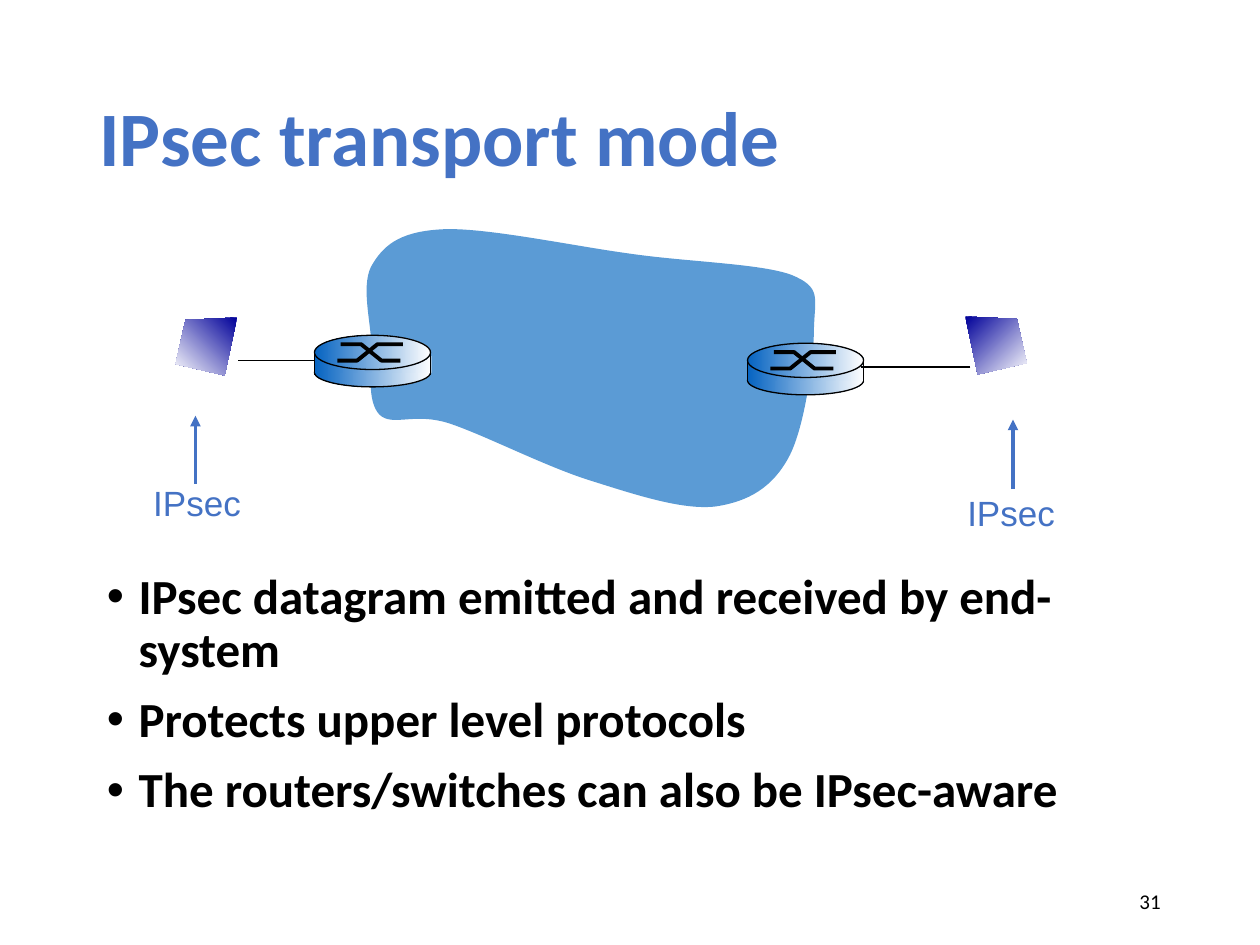
from dataclasses import dataclass
from lxml import etree
from pptx import Presentation
from pptx import util as u
from pptx.dml import color
from pptx.enum import shapes, text
from pptx.oxml import ns


@dataclass
class Theme:
    blue: str = "4472C4"
    cloud: str = "5B9BD5"
    ink: str = "000000"
    navy: str = "000099"
    steel: str = "0563C1"
    white: str = "FFFFFF"
    title: int = 44
    body: int = 28
    label: int = 20
    number: int = 12


theme = Theme()
rgb = color.RGBColor.from_string
Kind, Wire = shapes.MSO_SHAPE, shapes.MSO_CONNECTOR


def trace(tree, points, close):
    """Build a freeform through points given in centimetres."""
    spots = [(u.Cm(x), u.Cm(y)) for x, y in points]
    pen = tree.build_freeform(*spots[0])
    pen.add_line_segments(spots[1:], close=close)
    return pen.convert_to_shape()


def paint(shape, fill=None, line=None, width=0.75, angle=0):
    """Set fill (plain or fading to white) and line, without shadow."""
    if hasattr(shape, "fill"):
        if isinstance(fill, tuple):
            shape.fill.gradient()
            shape.fill.gradient_angle = angle
            for stop, shade in zip(shape.fill.gradient_stops, fill):
                stop.color.rgb = rgb(shade)
        elif fill:
            shape.fill.solid()
            shape.fill.fore_color.rgb = rgb(fill)
        else:
            shape.fill.background()
    if line:
        shape.line.color.rgb = rgb(line)
        shape.line.width = u.Pt(width)
    else:
        shape.line.fill.background()
    etree.SubElement(shape.element.spPr, ns.qn("a:effectLst"))


deck = Presentation()
deck.slide_width, deck.slide_height = u.Cm(25.4), u.Cm(19.05)
slide = deck.slides.add_slide(deck.slide_layouts[1])
tree = slide.shapes

# Cloud: start point, then two handles and an end point per curve
edge = [
    (8.99, 4.62),
    (8.13, 4.65), (7.77, 4.9), (7.52, 5.31),
    (7.26, 5.69), (7.47, 6.45), (7.49, 6.96),
    (7.49, 7.47), (7.39, 8.08), (7.65, 8.36),
    (7.92, 8.61), (8.33, 8.31), (9.04, 8.53),
    (9.75, 8.76), (11.02, 9.42), (11.94, 9.7),
    (12.83, 9.98), (13.77, 10.29), (14.43, 10.21),
    (15.09, 10.11), (15.57, 9.83), (15.9, 9.22),
    (16.23, 8.61), (16.41, 7.21), (16.41, 6.6),
    (16.43, 5.99), (16.56, 5.79), (15.95, 5.54),
    (15.32, 5.31), (13.82, 5.28), (12.67, 5.11),
    (11.51, 4.95), (9.86, 4.6), (8.99, 4.62),
]
cloud = trace(tree, edge, True)
paint(cloud, theme.cloud)

# Join each three straight steps into one curve
steps = list(cloud.element.iter(ns.qn("a:lnTo")))
for one, two, end in zip(steps[::3], steps[1::3], steps[2::3]):
    one.tag = ns.qn("a:cubicBezTo")
    for step in (two, end):
        one.append(step[0])
        step.getparent().remove(step)

# Arrows up to the end systems
for x, low, top in [(3.94, 9.75, 8.38), (20.42, 9.86, 8.46)]:
    arrow = tree.add_connector(Wire.STRAIGHT, u.Cm(x), u.Cm(low),
                               u.Cm(x), u.Cm(top))
    paint(arrow, line=theme.blue, width=2)
    etree.SubElement(arrow.element.spPr.find(ns.qn("a:ln")),
                     ns.qn("a:tailEnd"), type="triangle")

# End systems: mirrored screens, each with a link to its router
far, west, east = [tree.add_group_shape().shapes for _ in range(3)]
screen = [(0, 0), (1.04, 0.05), (1.24, 0.94), (0.25, 1.17), (0, 0)]
for host, net, x, y, side, angle, begin, end, level in [
        (far, tree, 19.46, 6.38, 1, 315, 19.56, 17.35, 7.4),
        (west, west, 4.78, 6.4, -1, 225, 4.8, 6.48, 7.27)]:
    points = [(x + side * dx, y + dy) for dx, dy in screen]
    paint(trace(host, points, True), (theme.navy, theme.white), angle=angle)
    link = net.add_connector(Wire.STRAIGHT, u.Cm(begin), u.Cm(level),
                             u.Cm(end), u.Cm(level))
    paint(link, line=theme.ink)

# Routers: a drum of three parts, two sides and a crossed mark
drum = [
    (Kind.OVAL, 0.46, 2.34, 0.58, theme.ink),
    (Kind.RECTANGLE, 0.41, 2.36, 0.36, None),
    (Kind.OVAL, 0, 2.34, 0.69, theme.ink),
]
marks = [
    [(0.46, 0.51), (0.86, 0.51), (1.27, 0.18), (1.78, 0.18)],
    [(0.53, 0.18), (0.94, 0.18), (1.35, 0.51), (1.73, 0.51)],
]
for group, x, y in [(west, 6.34, 6.76), (east, 15.07, 6.92)]:
    for kind, dy, wide, high, line in drum:
        part = group.add_shape(kind, u.Cm(x), u.Cm(y + dy),
                               u.Cm(wide), u.Cm(high))
        paint(part, (theme.steel, theme.white), line)
    for mark in marks:
        points = [(x + dx, y + dy) for dx, dy in mark]
        paint(trace(group, points, False), line=theme.ink, width=2.25)
    for dx in (0, 2.34):
        wall = group.add_connector(Wire.STRAIGHT, u.Cm(x + dx), u.Cm(y + 0.33),
                                   u.Cm(x + dx), u.Cm(y + 0.79))
        paint(wall, line=theme.ink)

# Text: title, list, labels and page number
Align, Anchor = text.PP_ALIGN, text.MSO_ANCHOR
head = {"name": "Calibri", "size": u.Pt(theme.title), "bold": True,
        "color": theme.blue}
items = {**head, "size": u.Pt(theme.body), "color": theme.ink}
label = {"name": "Arial", "size": u.Pt(theme.label), "color": theme.blue}
page = {"name": "Calibri", "size": u.Pt(theme.number), "color": theme.ink}
left = {"alignment": Align.LEFT}
tight = {**left, "line_spacing": 0.9}
top = {"word_wrap": True, "auto_size": text.MSO_AUTO_SIZE.NONE,
       "vertical_anchor": Anchor.TOP}
mid = {**top, "vertical_anchor": Anchor.MIDDLE}
loose = {**top, "word_wrap": False,
         "auto_size": text.MSO_AUTO_SIZE.SHAPE_TO_FIT_TEXT}
points = ["IPsec datagram emitted and received by end-system",
          "Protects upper level protocols",
          "The routers/switches can also be IPsec-aware"]
title, body = slide.placeholders

for box, area, lines, frame, para, font in [
        (title, (1.75, 1.02, 21.89, 3.68), ["IPsec transport mode"],
         mid, tight, head),
        (body, (1.9, 11.4, 22.02, 5.31), points, top, tight, items),
        (None, (2.84, 9.58, 2.36, 1.09), ["IPsec"], loose, left, label),
        (None, (19.25, 9.78, 2.36, 1.09), ["IPsec"], loose, left, label),
        (None, (17.93, 17.65, 5.72, 1.02), ["31"], mid,
         {"alignment": Align.RIGHT}, page)]:
    area = [u.Cm(size) for size in area]
    box = box or tree.add_textbox(*area)
    box.left, box.top, box.width, box.height = area
    for key, value in frame.items():
        setattr(box.text_frame, key, value)
    box.text_frame.text = "\n".join(lines)
    for rank, row in enumerate(box.text_frame.paragraphs):
        if box is body:
            props = row._p.get_or_add_pPr()
            props.set("marL", str(u.Cm(0.64)))
            props.set("indent", str(-u.Cm(0.64)))
            etree.SubElement(props, ns.qn("a:buFont"), typeface="Arial")
            etree.SubElement(props, ns.qn("a:buChar"), char="•")
        row.space_before = u.Pt(10 if rank else 0)
        for key, value in para.items():
            setattr(row, key, value)
        for key, value in font.items():
            if key == "color":
                row.runs[0].font.color.rgb = rgb(value)
            else:
                setattr(row.runs[0].font, key, value)

deck.save("out.pptx")
